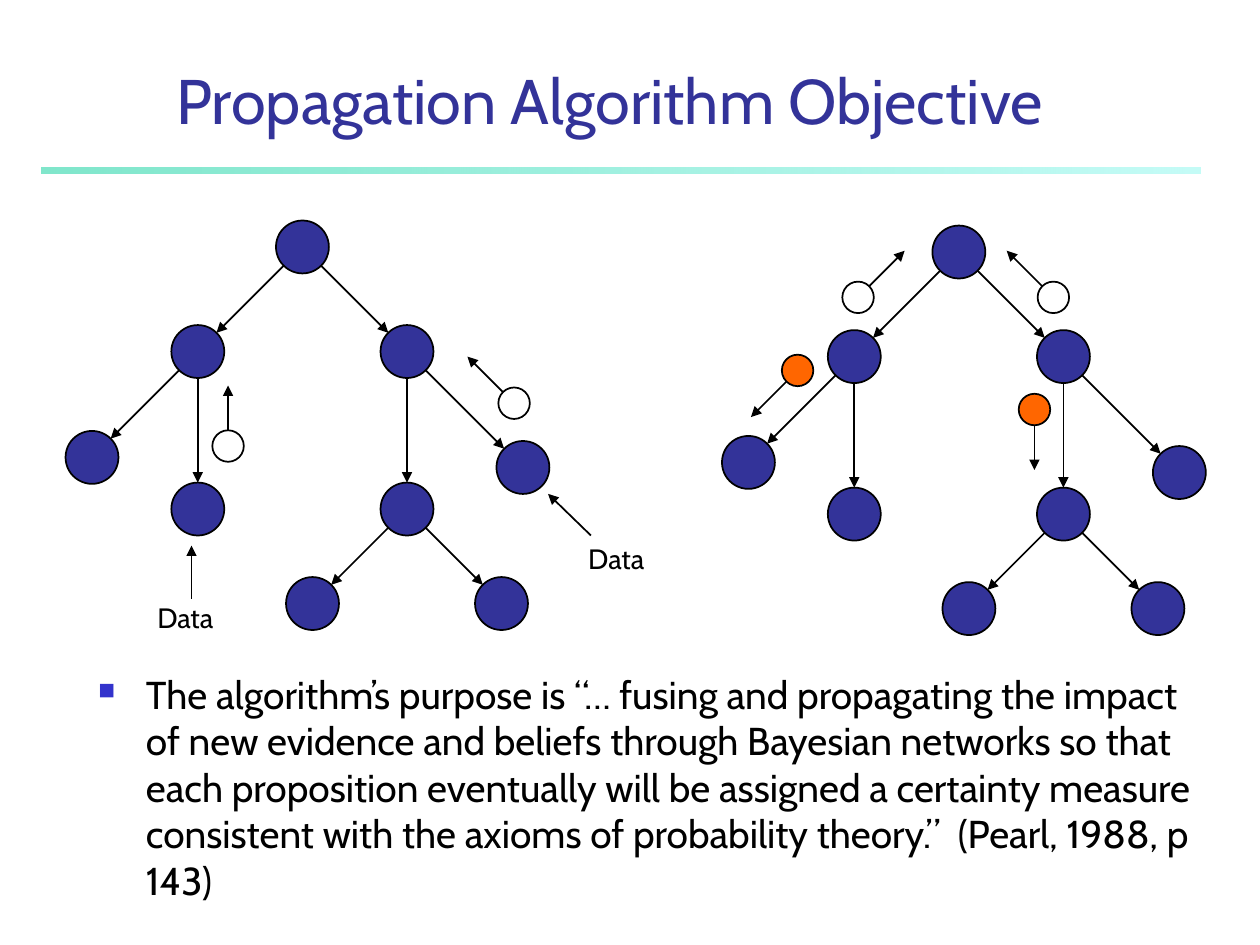
import math

from lxml import etree
from pptx import Presentation
from pptx import util as u
from pptx.dml.color import RGBColor
from pptx.enum import shapes, text
from pptx.oxml.ns import qn

COLORS = {"navy": "333399", "orange": "FF6600", "black": "000000",
          "bullet": "3333CC", "aqua": "8FF9EF", "green": "00CE98"}
FONT = "Cabin"
NODE, MESSAGE = 0.42, 0.25  # diameters in inches

# Node centres relative to the root, and the parent of each node
TREE = {
    "root": (0, 0, None),
    "left": (-0.83, 0.83, "root"),
    "right": (0.83, 0.83, "root"),
    "left outer": (-1.67, 1.67, "left"),
    "left inner": (-0.83, 2.08, "left"),
    "right inner": (0.83, 2.08, "right"),
    "right outer": (1.75, 1.75, "right"),
    "leaf left": (0.08, 2.83, "right inner"),
    "leaf right": (1.58, 2.83, "right inner"),
}
ROOTS = [(2.4, 1.96), (7.61, 2.0)]

# Centre, arrow direction, fill
MESSAGES = [
    ((4.08, 3.2), (-1, -1), None),
    ((1.81, 3.54), (0, -1), None),
    ((6.81, 2.36), (1, -1), None),
    ((8.36, 2.36), (-1, -1), None),
    ((8.21, 3.25), (0, 1), "orange"),
    ((6.33, 2.94), (-1, 1), "orange"),
]

# Label corner, arrow start, arrow end
DATA = [
    ((1.15, 4.72), (1.52, 4.75), (1.52, 4.33)),
    ((4.57, 4.25), (4.69, 4.25), (4.35, 3.92)),
]

QUOTE = ("The algorithm’s purpose is “… fusing and propagating the impact of new "
         "evidence and beliefs through Bayesian networks so that each proposition "
         "eventually will be assigned a certainty measure consistent with the axioms "
         "of probability theory.”  (Pearl, 1988, p 143)")


def rgb(name):
    return RGBColor.from_string(COLORS[name])


def inches(*lengths):
    return [u.Inches(length) for length in lengths]


def set_font(para, size, color):
    para.font.name = FONT
    para.font.size = u.Pt(size)
    para.font.color.rgb = rgb(color)


def toward(start, end, distance):
    """Point at a distance from start on the way to end."""
    share = distance / math.dist(start, end)
    return tuple(a + (b - a) * share for a, b in zip(start, end))


def add_circle(page, center, size, fill):
    x, y = center
    circle = page.shapes.add_shape(shapes.MSO_SHAPE.OVAL,
                                   *inches(x - size / 2, y - size / 2, size, size))
    circle.shadow.inherit = False
    if fill:
        circle.fill.solid()
        circle.fill.fore_color.rgb = rgb(fill)
    else:
        circle.fill.background()
    circle.line.color.rgb = rgb("black")
    circle.line.width = u.Pt(1)


def add_arrow(page, start, end):
    arrow = page.shapes.add_connector(shapes.MSO_CONNECTOR.STRAIGHT,
                                      *inches(*start, *end))
    arrow.line.color.rgb = rgb("black")
    arrow.line.width = u.Pt(1)
    etree.SubElement(arrow.line._get_or_add_ln(), qn("a:tailEnd"), type="triangle")
    etree.SubElement(arrow._element.spPr, qn("a:effectLst"))


def add_tree(page, root):
    centers = {name: (root[0] + dx, root[1] + dy)
               for name, (dx, dy, _) in TREE.items()}
    for name, (_, _, parent) in TREE.items():
        child = centers[name]
        add_circle(page, child, NODE, "navy")
        if parent:
            add_arrow(page, toward(centers[parent], child, NODE / 2),
                      toward(child, centers[parent], NODE / 2))


def add_message(page, center, direction, fill):
    add_circle(page, center, MESSAGE, fill)
    reach = 0.37 if all(direction) else 0.48
    tip = tuple(c + reach * d for c, d in zip(center, direction))
    add_arrow(page, toward(center, tip, MESSAGE / 2), tip)


def add_data_label(page, corner, start, end):
    box = page.shapes.add_textbox(*inches(*corner, 0.69, 0.37))
    box.text_frame.word_wrap = False
    para = box.text_frame.paragraphs[0]
    para.text = "Data"
    set_font(para, 16, "black")
    add_arrow(page, start, end)


def add_rule(page):
    rule = page.shapes.add_shape(shapes.MSO_SHAPE.RECTANGLE,
                                 *inches(0.33, 1.33, 9.2, 0.05))
    rule.shadow.inherit = False
    rule.line.fill.background()
    rule.fill.gradient()
    rule.fill.gradient_angle = 180
    for stop, color in zip(rule.fill.gradient_stops, ("aqua", "green")):
        stop.color.rgb = rgb(color)
    for color, alpha in zip(rule._element.spPr.iter(qn("a:srgbClr")), (52, 50)):
        etree.SubElement(color, qn("a:alpha"), val=str(alpha * 1000))


def set_title(page):
    title = page.shapes.title
    title.left, title.top, title.width, title.height = inches(1.3, 0.47, 7.75, 0.67)
    frame = title.text_frame
    frame.auto_size = text.MSO_AUTO_SIZE.NONE
    frame.vertical_anchor = text.MSO_ANCHOR.BOTTOM
    para = frame.paragraphs[0]
    para.text = "Propagation Algorithm Objective"
    para.alignment = text.PP_ALIGN.LEFT
    set_font(para, 36, "navy")


def add_quote(page):
    box = page.shapes.add_textbox(*inches(0.68, 5.27, 8.99, 2.08))
    box.text_frame.word_wrap = True
    para = box.text_frame.paragraphs[0]
    para.text = QUOTE
    para.space_before = u.Pt(6)
    set_font(para, 22.2, "black")
    props = para._p.get_or_add_pPr()
    indent = u.Inches(0.38)
    props.set("marL", str(indent))
    props.set("indent", str(-indent))
    bullet_color = etree.Element(qn("a:buClr"))
    etree.SubElement(bullet_color, qn("a:srgbClr"), val=COLORS["bullet"])
    bullet_size = etree.Element(qn("a:buSzPct"), val="60000")
    bullet = etree.Element(qn("a:buChar"), char="■")
    for element in (bullet_color, bullet_size, bullet):
        props.find(qn("a:defRPr")).addprevious(element)


def main():
    deck = Presentation()
    deck.slide_width, deck.slide_height = inches(10, 7.5)
    page = deck.slides.add_slide(deck.slide_layouts.get_by_name("Title Only"))
    add_rule(page)
    set_title(page)
    add_quote(page)
    for root in ROOTS:
        add_tree(page, root)
    for message in MESSAGES:
        add_message(page, *message)
    for label in DATA:
        add_data_label(page, *label)
    deck.save("out.pptx")


if __name__ == "__main__":
    main()
